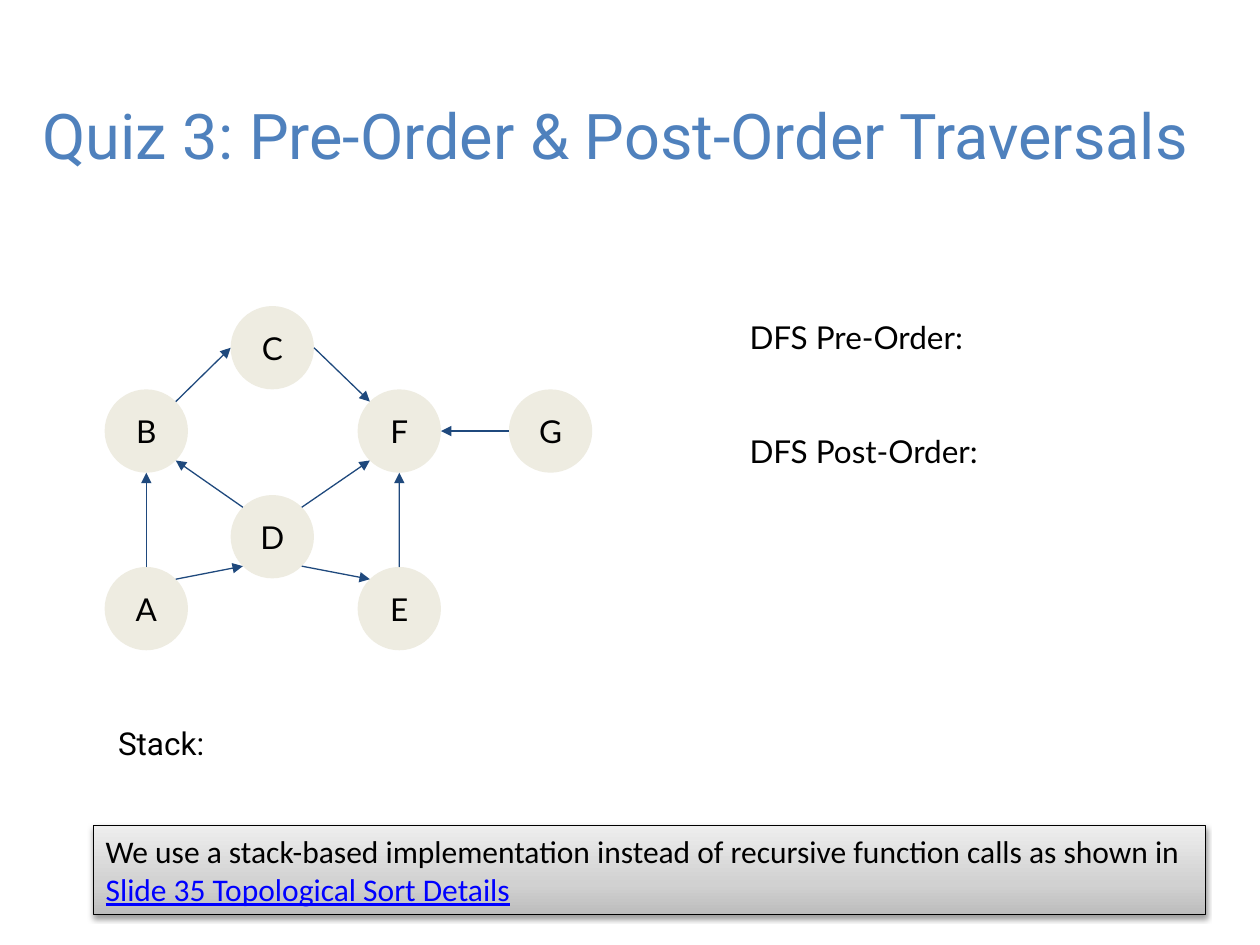
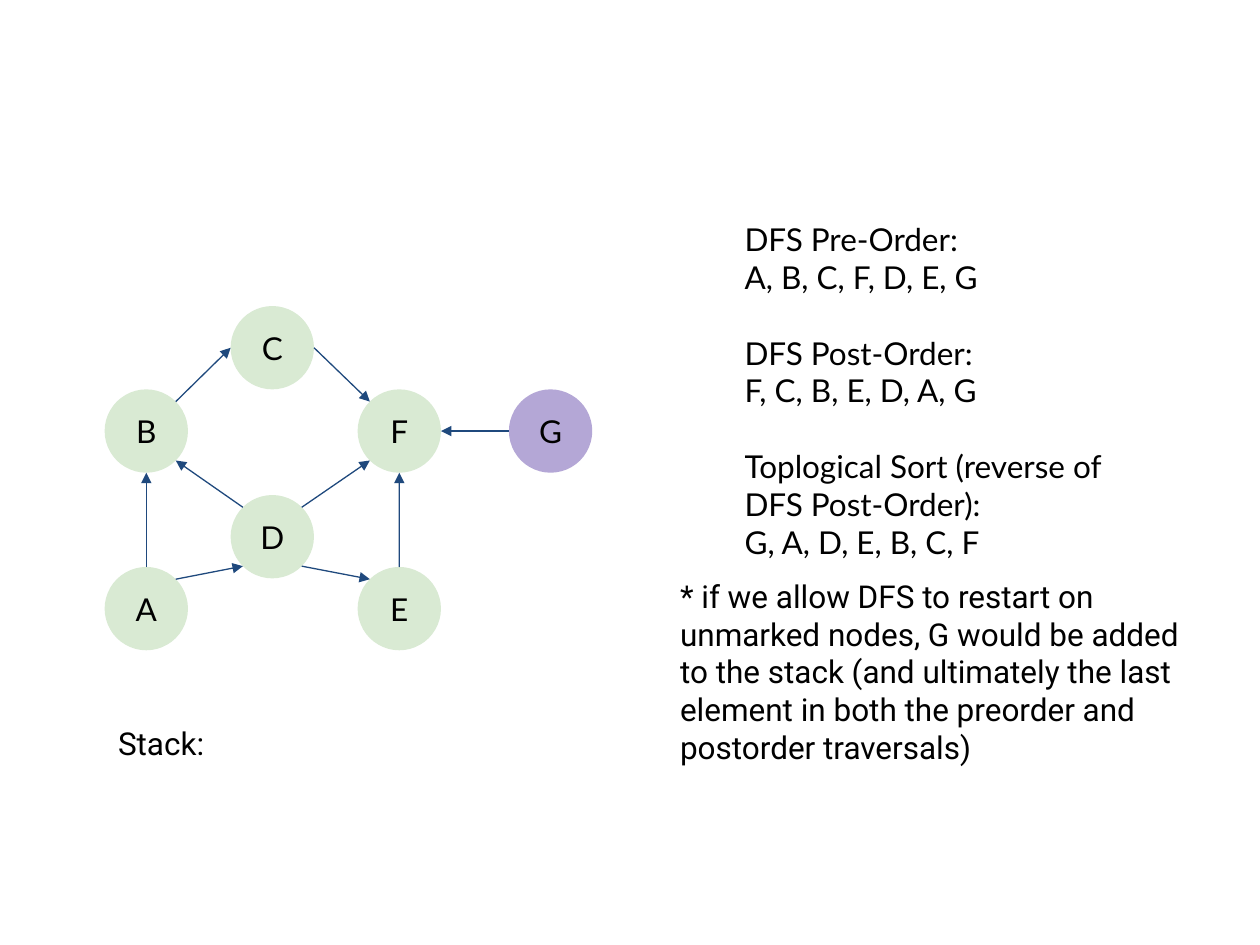
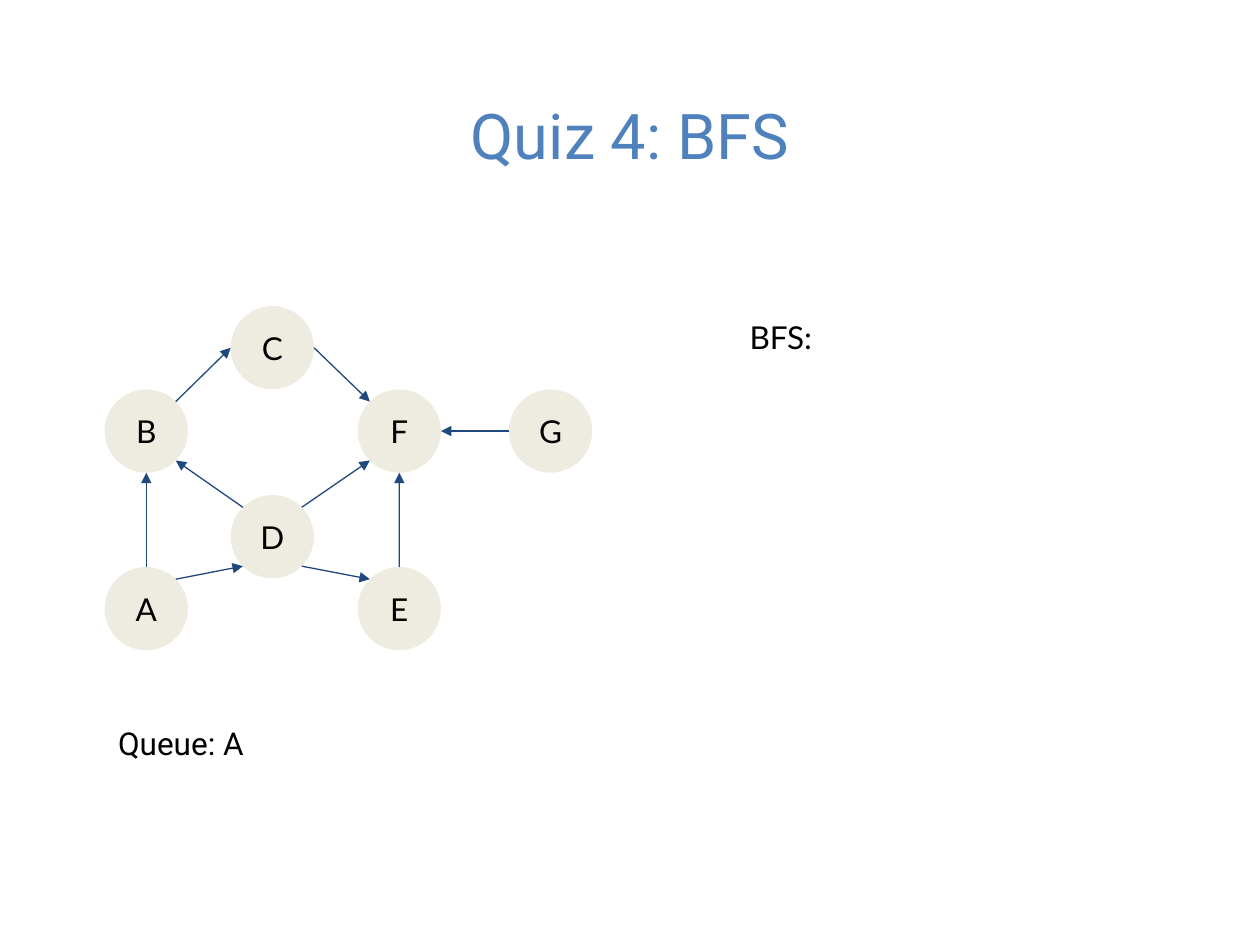
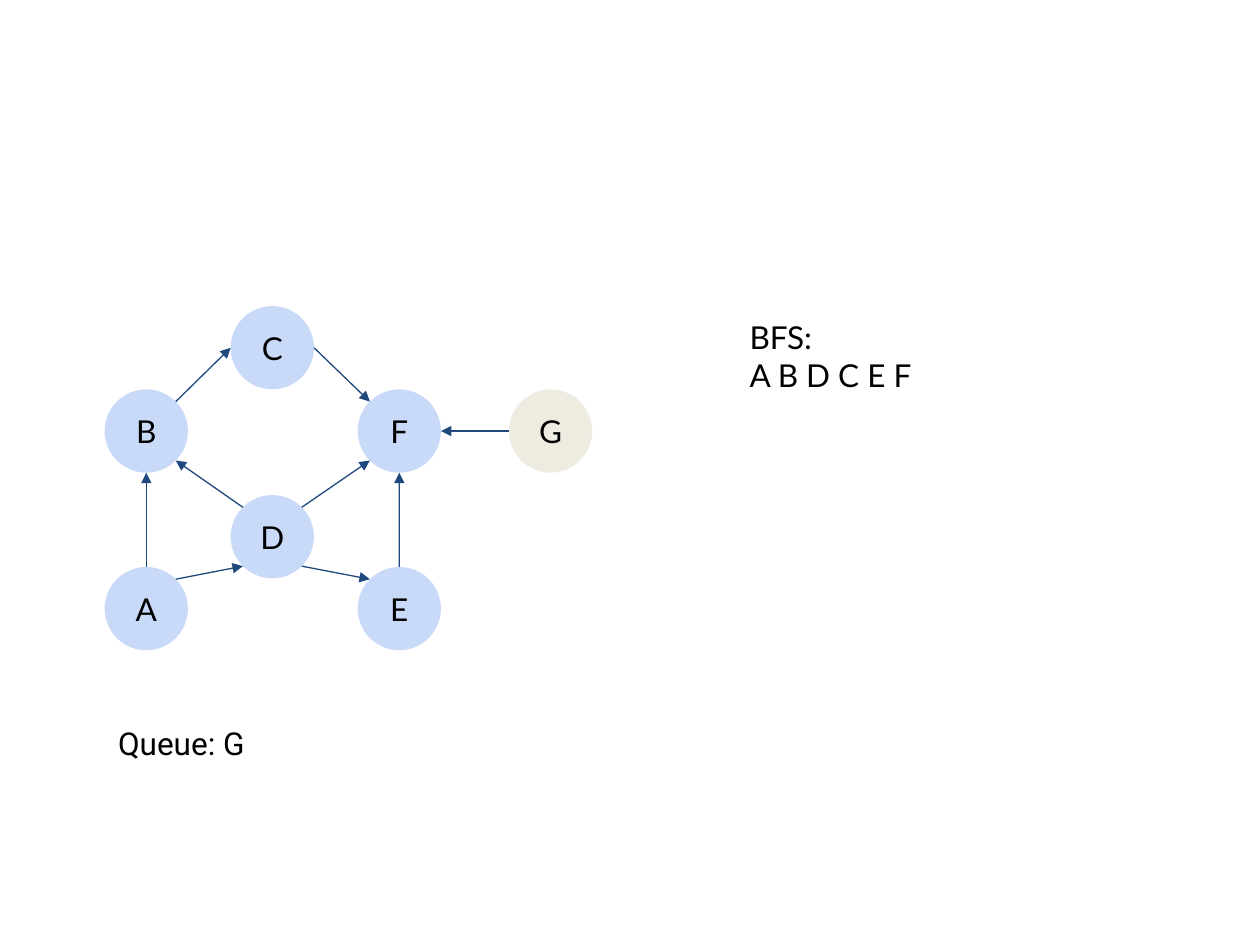
from copy import deepcopy
from dataclasses import dataclass
from math import cos, radians, sin
from typing import NamedTuple

from lxml.etree import SubElement
from pptx import Presentation
from pptx.dml.color import RGBColor
from pptx.enum.shapes import MSO_CONNECTOR as Connector, MSO_SHAPE as Preset
from pptx.enum.text import MSO_ANCHOR as Anchor, PP_ALIGN as Align
from pptx.oxml.ns import qn
from pptx.util import Cm, Pt

BLACK, TITLE_BLUE, ARROW_BLUE, LINK_BLUE = "000000", "4F81BD", "1F497D", "0000FF"
BEIGE, GREEN, PURPLE, PALE_BLUE = "EEECE1", "D9EAD3", "B4A7D6", "C9DAF8"
LATO, ROBOTO, CALIBRI = "Lato", "Roboto", "Calibri"
TITLE_ONLY, BLANK = 5, 6
INSET = 0.25
NODE_SIZE = 1.68
LINE_HEIGHT = 21.6  # points, one line of 18 pt text

# Directions from a node's centre, in degrees clockwise from the right
RIGHT, LOWER_RIGHT, BOTTOM, LOWER_LEFT = 0, 45, 90, 135
LEFT, UPPER_LEFT, TOP, UPPER_RIGHT = 180, 225, 270, 315


class Area(NamedTuple):
    left: float
    top: float
    width: float
    height: float

    def lengths(self) -> list[Cm]:
        return [Cm(value) for value in self]


class Edge(NamedTuple):
    start: str
    leaves: int
    end: str
    enters: int


class Line(NamedTuple):
    text: str
    gap_lines: int = 0


@dataclass
class TextBlock:
    area: Area
    lines: list[Line]
    font: str = LATO


@dataclass
class QuizPage:
    node_fill: str
    g_fill: str
    blocks: list[TextBlock]
    title: str = ""
    title_area: Area | None = None


NODES = {
    "A": (2.11, 11.43), "B": (2.11, 7.85), "D": (4.65, 9.98), "E": (7.21, 11.43),
    "F": (7.21, 7.85), "C": (4.65, 6.17), "G": (10.26, 7.85),
}
EDGES = [
    Edge("A", TOP, "B", BOTTOM),
    Edge("A", UPPER_RIGHT, "D", LOWER_LEFT),
    Edge("D", UPPER_LEFT, "B", LOWER_RIGHT),
    Edge("B", UPPER_RIGHT, "C", LEFT),
    Edge("D", UPPER_RIGHT, "F", LOWER_LEFT),
    Edge("D", LOWER_RIGHT, "E", UPPER_LEFT),
    Edge("E", TOP, "F", BOTTOM),
    Edge("C", RIGHT, "F", UPPER_LEFT),
    Edge("G", LEFT, "F", RIGHT),
]


def state_block(text: str, height: float = 1.27) -> TextBlock:
    """The stack or queue contents below the graph."""
    return TextBlock(Area(2.13, 14.35, 20.37, height), [Line(text)], ROBOTO)


PAGES = [
    QuizPage(BEIGE, BEIGE, [
        TextBlock(Area(14.86, 6.17, 6.17, 4.37),
                  [Line("DFS Pre-Order:"), Line("DFS Post-Order:", 2)]),
        state_block("Stack:"),
    ], "Quiz 3: Pre-Order & Post-Order Traversals", Area(0.28, 1.65, 24.26, 2.13)),
    QuizPage(GREEN, PURPLE, [
        TextBlock(Area(14.76, 4.19, 8.79, 7.44), [
            Line("DFS Pre-Order:"), Line("A, B, C, F, D, E, G"),
            Line("DFS Post-Order:", 1), Line("F, C, B, E, D, A, G"),
            Line("Toplogical Sort (reverse of DFS Post-Order):", 1),
            Line("G, A, D, E, B, C, F"),
        ]),
        state_block("Stack:", 2.06),
        TextBlock(Area(13.46, 11.38, 11.05, 3.58), [
            Line("* if we allow DFS to restart on unmarked nodes, G would be added "
                 "to the stack (and ultimately the last element in both the preorder "
                 "and postorder traversals)"),
        ], ROBOTO),
    ]),
    QuizPage(BEIGE, BEIGE, [
        TextBlock(Area(14.86, 6.17, 6.17, 2.82), [Line("BFS:")]),
        state_block("Queue: A"),
    ], "Quiz 4: BFS", Area(0.86, 1.65, 23.67, 2.13)),
    QuizPage(PALE_BLUE, BEIGE, [
        TextBlock(Area(14.86, 6.17, 6.17, 2.82), [Line("BFS:"), Line("A B D C E F")]),
        state_block("Queue: G"),
    ]),
]


def rgb(color: str) -> RGBColor:
    return RGBColor.from_string(color)


def add_span(para, text: str, *, font: str = LATO, size: float = 18,
             color: str = BLACK, underline: bool | None = None) -> None:
    span = para.add_run()
    span.text = text
    span.font.name, span.font.size = font, Pt(size)
    span.font.color.rgb = rgb(color)
    span.font.underline = underline


def set_frame(frame, anchor: Anchor, vertical_inset: float = INSET) -> None:
    frame.word_wrap = True
    frame.vertical_anchor = anchor
    frame.margin_left = frame.margin_right = Cm(INSET)
    frame.margin_top = frame.margin_bottom = Cm(vertical_inset)


def add_title(page, text: str, area: Area) -> None:
    title = page.shapes.title
    title.left, title.top, title.width, title.height = area.lengths()
    set_frame(title.text_frame, Anchor.MIDDLE)
    para = title.text_frame.paragraphs[0]
    para.alignment = Align.CENTER
    add_span(para, text, font=ROBOTO, size=36, color=TITLE_BLUE)


def add_node(page, name: str, fill: str) -> None:
    area = Area(*NODES[name], NODE_SIZE, NODE_SIZE)
    node = page.shapes.add_shape(Preset.OVAL, *area.lengths())
    node.shadow.inherit = False
    node.fill.solid()
    node.fill.fore_color.rgb = rgb(fill)
    node.line.fill.background()
    set_frame(node.text_frame, Anchor.MIDDLE)
    para = node.text_frame.paragraphs[0]
    para.alignment = Align.CENTER
    add_span(para, name)


def rim_point(name: str, direction: int) -> tuple[Cm, Cm]:
    """The point on a node's circle in the given direction."""
    left, top = NODES[name]
    radius, angle = NODE_SIZE / 2, radians(direction)
    return (Cm(left + radius * (1 + cos(angle))), Cm(top + radius * (1 + sin(angle))))


def add_edge(page, edge: Edge) -> None:
    arrow = page.shapes.add_connector(
        Connector.STRAIGHT,
        *rim_point(edge.start, edge.leaves), *rim_point(edge.end, edge.enters))
    arrow.line.color.rgb = rgb(ARROW_BLUE)
    arrow.line.width = Pt(0.75)
    SubElement(arrow.line._get_or_add_ln(), qn("a:tailEnd"), type="triangle")
    SubElement(arrow._element.spPr, qn("a:effectLst"))


def add_text_block(page, block: TextBlock) -> None:
    frame = page.shapes.add_textbox(*block.area.lengths()).text_frame
    set_frame(frame, Anchor.TOP)
    for index, line in enumerate(block.lines):
        para = frame.add_paragraph() if index else frame.paragraphs[0]
        if line.gap_lines:
            para.space_before = Pt(line.gap_lines * LINE_HEIGHT)
        add_span(para, line.text, font=block.font)


def add_hint(page) -> None:
    """The grey shaded box at the foot of the first quiz."""
    box = page.shapes.add_shape(Preset.RECTANGLE, *Area(1.88, 16.64, 22.43, 1.8).lengths())
    box.line.color.rgb = rgb(BLACK)
    box.line.width = Pt(0.75)

    box.fill.gradient()
    box.fill.gradient_angle = 90
    properties = box._element.spPr
    stop_list = properties.find(".//" + qn("a:gsLst"))
    stop_list.append(deepcopy(stop_list[0]))
    shades = [(0, "BDBDBD"), (0.35, "D1D1D1"), (1, "EEEEEE")]
    for stop, (position, color) in zip(box.fill.gradient_stops, shades):
        stop.position = position
        stop.color.rgb = rgb(color)

    box.shadow.inherit = False
    shadow = SubElement(properties.find(qn("a:effectLst")), qn("a:outerShdw"),
                        blurRad=str(Pt(3.1)), dist=str(Pt(1.6)), dir="5400000",
                        rotWithShape="0")
    shade = SubElement(shadow, qn("a:srgbClr"), val=BLACK)
    SubElement(shade, qn("a:alpha"), val="38000")

    set_frame(box.text_frame, Anchor.TOP, vertical_inset=0.13)
    para = box.text_frame.paragraphs[0]
    para.alignment = Align.LEFT
    add_span(para, "We use a stack-based implementation instead of recursive "
                   "function calls as shown in ", font=CALIBRI)
    add_span(para, "Slide 35 Topological Sort Details", font=CALIBRI,
             color=LINK_BLUE, underline=True)


def add_quiz_page(deck, quiz: QuizPage):
    page = deck.slides.add_slide(deck.slide_layouts[TITLE_ONLY if quiz.title else BLANK])
    if quiz.title:
        add_title(page, quiz.title, quiz.title_area)
    for name in NODES:
        add_node(page, name, quiz.g_fill if name == "G" else quiz.node_fill)
    for edge in EDGES:
        add_edge(page, edge)
    for block in quiz.blocks:
        add_text_block(page, block)
    return page


def main() -> None:
    deck = Presentation()
    deck.slide_width, deck.slide_height = Cm(25.4), Cm(19.05)
    pages = [add_quiz_page(deck, quiz) for quiz in PAGES]
    add_hint(pages[0])
    deck.save("out.pptx")


if __name__ == "__main__":
    main()
